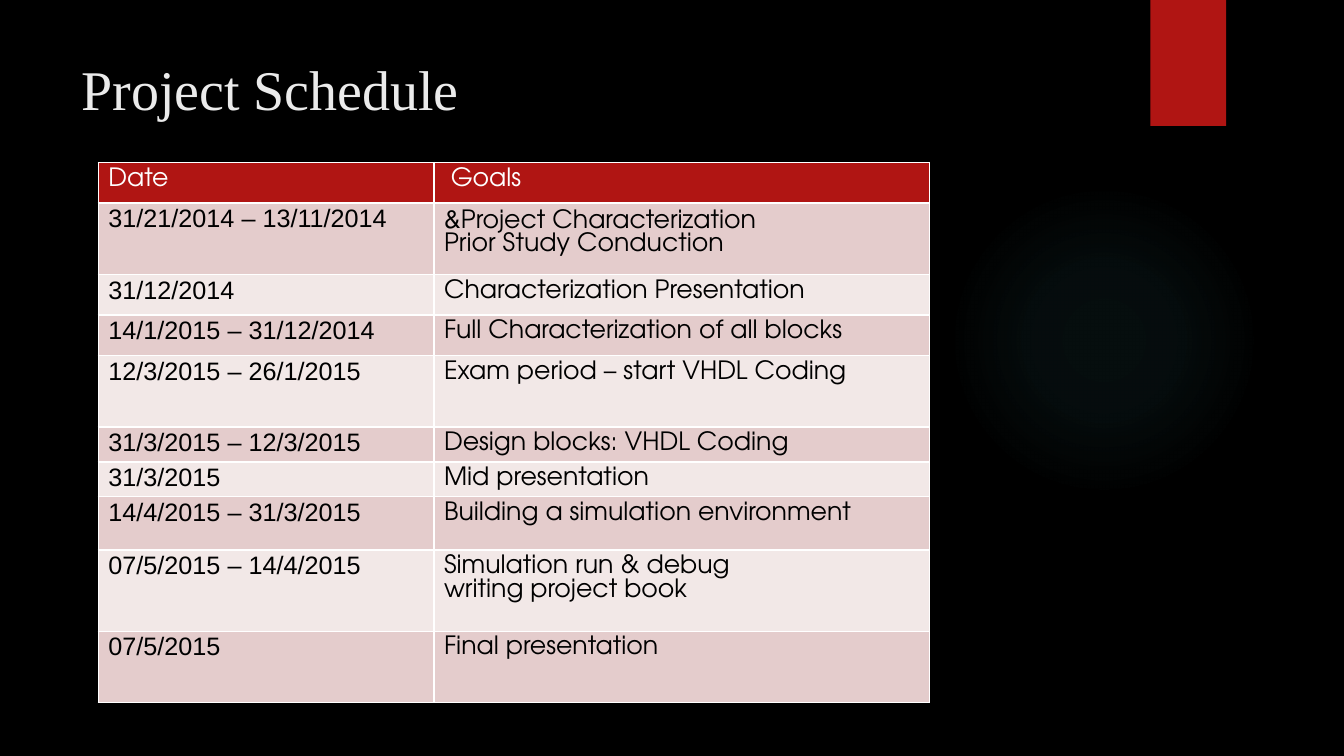
import pptx
import pptx.util
import pptx.dml.color
import pptx.enum.shapes
import pptx.enum.text
import pptx.oxml
import pptx.oxml.ns

Pt = pptx.util.Pt
COLORS = {
    "black": "000000", "red": "B01513", "title": "EBEBEB", "white": "FFFFFF",
    "odd": "E4CCCC", "even": "F2E8E7", "glow": "50B9C1",
}
NS = pptx.oxml.ns.nsdecls("a")
ROWS = [
    (29, "Date", "Goals"),
    (51, "13/11/2014 – 31/21/2014", "Project Characterization&\nPrior Study Conduction"),
    (29, "31/12/2014", "Characterization Presentation"),
    (29, "31/12/2014 – 14/1/2015", "Full Characterization of all blocks"),
    (51, "26/1/2015 – 12/3/2015", "Exam period – start VHDL Coding"),
    (25, "12/3/2015 – 31/3/2015", "Design blocks: VHDL Coding"),
    (25, "31/3/2015", "Mid presentation"),
    (38, "31/3/2015 – 14/4/2015", "Building a simulation environment"),
    (58, "14/4/2015 – 07/5/2015", "Simulation run & debug\nwriting project book"),
    (51, "07/5/2015", "Final presentation"),
]


def rgb(name):
    return pptx.dml.color.RGBColor.from_string(COLORS[name])


def format_text(tf, size, font, color):
    for p in tf.paragraphs:
        p.alignment = pptx.enum.text.PP_ALIGN.LEFT
        p._p.get_or_add_pPr().set("rtl", "1")
        for r in p.runs:
            r.font.size = Pt(size)
            r.font.name = font
            r.font.color.rgb = rgb(color)


prs = pptx.Presentation()
prs.slide_width, prs.slide_height = Pt(960), Pt(540)
s = prs.slides.add_slide(prs.slide_layouts[5])
s.background.fill.solid()
s.background.fill.fore_color.rgb = rgb("black")

shapes = pptx.enum.shapes.MSO_SHAPE
glow = s.shapes.add_shape(shapes.OVAL, Pt(677.5), Pt(131.8), Pt(221.8), Pt(221.8))
ribbon = s.shapes.add_shape(shapes.RECTANGLE, Pt(821.8), Pt(0), Pt(54), Pt(90))
for sp in (glow, ribbon):
    sp.shadow.inherit = False
    sp.line.fill.background()
ribbon.fill.solid()
ribbon.fill.fore_color.rgb = rgb("red")

stops = "".join(
    f'<a:gs pos="{pos * 1000}"><a:srgbClr val="{COLORS["glow"]}">'
    f'<a:alpha val="{alpha * 1000}"/></a:srgbClr></a:gs>'
    for pos, alpha in ((0, 7), (36, 6), (69, 0), (100, 0))
)
glow.fill.background()
no_fill = glow._element.spPr.find(pptx.oxml.ns.qn("a:noFill"))
no_fill.getparent().replace(no_fill, pptx.oxml.parse_xml(
    f'<a:gradFill {NS} rotWithShape="1"><a:gsLst>{stops}</a:gsLst><a:path path="circle">'
    '<a:fillToRect l="50000" t="50000" r="50000" b="50000"/></a:path></a:gradFill>'
))

title = s.shapes.title
title.left, title.top, title.width, title.height = Pt(51), Pt(35.5), Pt(741), Pt(110)
tf = title.text_frame
tf.text = "Project Schedule"
tf.vertical_anchor = pptx.enum.text.MSO_ANCHOR.TOP
tf.auto_size = pptx.enum.text.MSO_AUTO_SIZE.NONE
format_text(tf, 40, "Times New Roman", "title")

height = sum(row[0] for row in ROWS)
frame = s.shapes.add_table(len(ROWS), 2, Pt(70.2), Pt(116), Pt(594), Pt(height))
table = frame.table
table.columns[0].width, table.columns[1].width = Pt(239.8), Pt(354.2)
for i, (row_height, *texts) in enumerate(ROWS):
    table.rows[i].height = Pt(row_height)
    for j, text in enumerate(texts):
        cell = table.cell(i, j)
        tf = cell.text_frame
        tf.text = text
        format_text(tf, 18, "TeX Gyre Adventor", "black" if i else "white")
        is_date = i > 0 and j == 0
        for p in tf.paragraphs:
            p.line_spacing = 0.87 if is_date else 1.0
            for r in p.runs:
                r.font.bold = False
                if is_date:
                    r._r.get_or_add_rPr().append(
                        pptx.oxml.parse_xml(f'<a:cs {NS} typeface="Arial"/>'))
        tcPr = cell._tc.get_or_add_tcPr()
        for side in "LRTB":
            tcPr.append(pptx.oxml.parse_xml(
                f'<a:ln{side} {NS} w="12700"><a:solidFill>'
                f'<a:srgbClr val="{COLORS["white"]}"/></a:solidFill></a:ln{side}>'
            ))
        cell.fill.solid()
        cell.fill.fore_color.rgb = rgb("red" if i == 0 else "odd" if i % 2 else "even")
table.cell(0, 1).margin_left = Pt(12)

prs.save("out.pptx")
